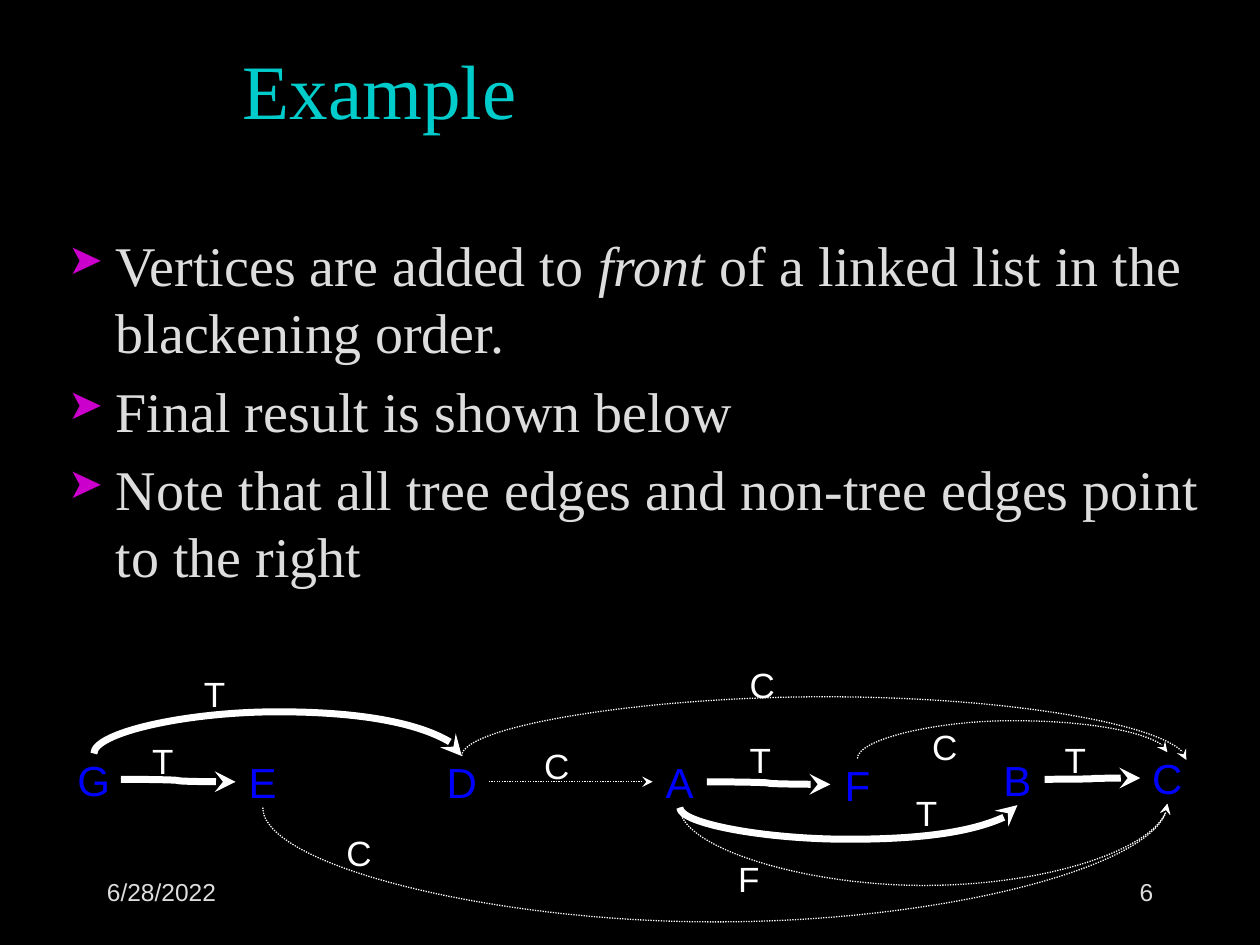
import dataclasses

import lxml.etree
import pptx
import pptx.dml.color
import pptx.enum.dml
import pptx.enum.shapes
import pptx.enum.text
import pptx.oxml.ns
import pptx.util

Inches = pptx.util.Inches
Pt = pptx.util.Pt
RGB = pptx.dml.color.RGBColor.from_string
qn = pptx.oxml.ns.qn
Align = pptx.enum.text.PP_ALIGN
Anchor = pptx.enum.text.MSO_ANCHOR


@dataclasses.dataclass(frozen=True)
class Theme:
    background: str = "000000"
    title: str = "00CCCC"
    body: str = "DDDDDD"
    bullet: str = "CC00CC"
    vertex: str = "0000FF"
    edge: str = "FFFFFF"
    serif: str = "Times New Roman"
    sans: str = "Arial"
    title_size: int = 44
    body_size: int = 32
    vertex_size: int = 24
    label_size: int = 20
    footer_size: int = 14
    tree_width: float = 4
    other_width: float = 0.75


theme = Theme()


def add_span(para, text, *, size, color, font=theme.sans, italic=False):
    span = para.add_run()
    span.text = text
    span.font.name = font
    span.font.size = Pt(size)
    span.font.italic = italic
    span.font.color.rgb = RGB(color)


def add_text(page, text, left, top, width, height, *, align=Align.LEFT,
             anchor=Anchor.TOP, **style):
    box = page.shapes.add_textbox(
        Inches(left), Inches(top), Inches(width), Inches(height))
    frame = box.text_frame
    frame.word_wrap = True
    frame.vertical_anchor = anchor
    para = frame.paragraphs[0]
    para.alignment = align
    add_span(para, text, **style)


deck = pptx.Presentation()
deck.slide_width = Inches(10)
deck.slide_height = Inches(7.5)
page = deck.slides.add_slide(deck.slide_layouts[6])
page.background.fill.solid()
page.background.fill.fore_color.rgb = RGB(theme.background)

add_text(page, "Example", 1.83, 0.08, 8.5, 1.25, anchor=Anchor.MIDDLE,
         font=theme.serif, size=theme.title_size, color=theme.title)

points = [
    [("Vertices are added to ", False), ("front", True),
     (" of a linked list in the blackening order.", False)],
    [("Final result is shown below", False)],
    [("Note that all tree edges and non-tree edges point to the right", False)],
]
body = page.shapes.add_textbox(Inches(0.44), Inches(1.78), Inches(9.25), Inches(4.38))
body.text_frame.word_wrap = True
for index, point in enumerate(points):
    para = body.text_frame.paragraphs[0] if index == 0 else body.text_frame.add_paragraph()
    properties = para._p.get_or_add_pPr()
    properties.set("marL", str(Inches(0.38)))
    properties.set("indent", str(-Inches(0.38)))
    bullet_color = lxml.etree.SubElement(properties, qn("a:buClr"))
    lxml.etree.SubElement(bullet_color, qn("a:srgbClr"), val=theme.bullet)
    lxml.etree.SubElement(properties, qn("a:buSzPct"), val="75000")
    lxml.etree.SubElement(properties, qn("a:buChar"), char="➤")
    if index:
        para.space_before = Pt(6.4)
    for text, italic in point:
        add_span(para, text, font=theme.serif, size=theme.body_size,
                 color=theme.body, italic=italic)

vertex_width, vertex_height = 0.43, 0.41
vertex_places = {
    "G": (0.53, 5.98), "E": (1.87, 6), "D": (3.45, 6), "A": (5.18, 6),
    "F": (6.59, 6.02), "B": (7.86, 5.98), "C": (9.05, 5.97),
}
vertices = {}
for name, (left, top) in vertex_places.items():
    vertex = page.shapes.add_shape(
        pptx.enum.shapes.MSO_SHAPE.OVAL, Inches(left), Inches(top),
        Inches(vertex_width), Inches(vertex_height))
    vertex.shadow.inherit = False
    vertex.fill.solid()
    vertex.fill.fore_color.rgb = RGB(theme.background)
    vertex.line.color.rgb = RGB(theme.background)
    vertex.line.width = Pt(theme.other_width)
    vertex.text_frame.word_wrap = False
    vertex.text_frame.vertical_anchor = Anchor.MIDDLE
    para = vertex.text_frame.paragraphs[0]
    para.alignment = Align.CENTER
    add_span(para, name, size=theme.vertex_size, color=theme.vertex)
    vertices[name] = vertex

TOP, LEFT, BOTTOM, RIGHT, TOP_RIGHT = 0, 2, 4, 6, 7
site_offsets = {TOP: (0.5, 0), LEFT: (0, 0.5), BOTTOM: (0.5, 1),
                RIGHT: (1, 0.5), TOP_RIGHT: (0.85, 0.15)}
edges = [
    ("G", RIGHT, "E", LEFT, None, "T", 1.11, 5.82),
    ("A", RIGHT, "F", LEFT, None, "T", 5.85, 5.81),
    ("B", RIGHT, "C", LEFT, None, "T", 8.35, 5.81),
    ("A", BOTTOM, "B", BOTTOM, 6.66, "T", 7.17, 6.23),
    ("E", BOTTOM, "C", BOTTOM, 7.32, "C", 2.65, 6.55),
    ("G", TOP, "D", TOP, 5.65, "T", 1.52, 5.29),
    ("D", RIGHT, "A", LEFT, None, "C", 4.22, 5.86),
    ("A", BOTTOM, "C", BOTTOM, 7.03, "F", 5.76, 6.76),
    ("D", TOP, "C", TOP_RIGHT, 5.53, "C", 5.85, 5.22),
    ("F", TOP, "C", TOP, 5.72, "C", 7.3, 5.71),
]
for start, start_site, end, end_site, bend, label, label_left, label_top in edges:
    (x1, y1), (x2, y2) = [
        (vertex_places[name][0] + vertex_width * site_offsets[site][0],
         vertex_places[name][1] + vertex_height * site_offsets[site][1])
        for name, site in ((start, start_site), (end, end_site))]
    edge = page.shapes.add_connector(
        pptx.enum.shapes.MSO_CONNECTOR.CURVE,
        Inches(x1), Inches(y1), Inches(x2), Inches(y2))
    element = edge._element
    joints = element.find(".//" + qn("p:cNvCxnSpPr"))
    for tag, name, site in (("a:stCxn", start, start_site), ("a:endCxn", end, end_site)):
        lxml.etree.SubElement(joints, qn(tag), id=str(vertices[name].shape_id), idx=str(site))
    if bend is not None:
        across, rise = x2 - x1, abs(y2 - y1)
        edge.left = Inches((x1 + x2 - rise) / 2)
        edge.top = Inches((y1 + y2 - across) / 2)
        edge.width, edge.height = Inches(rise), Inches(across)
        frame = element.spPr.find(qn("a:xfrm"))
        frame.set("rot", "5400000")
        frame.set("flipV", "1")
        frame.set("flipH", "1" if y1 > y2 else "0")
        guides = element.spPr.find(qn("a:prstGeom")).get_or_add_avLst()
        ratio = round(100000 * (bend - y1) / (y2 - y1))
        lxml.etree.SubElement(guides, qn("a:gd"), name="adj1", fmla=f"val {ratio}")
    edge.line.color.rgb = RGB(theme.edge)
    if label == "T":
        edge.line.width = Pt(theme.tree_width)
    else:
        edge.line.width = Pt(theme.other_width)
        edge.line.dash_style = pptx.enum.dml.MSO_LINE.ROUND_DOT
    lxml.etree.SubElement(edge.line._get_or_add_ln(), qn("a:tailEnd"), type="stealth")
    lxml.etree.SubElement(element.spPr, qn("a:effectLst"))
    add_text(page, label, label_left, label_top, 0.48, 0.43,
             size=theme.label_size, color=theme.edge)

for text, left, align in (("6/28/2022", 0.75, Align.LEFT), ("6", 7.17, Align.RIGHT)):
    add_text(page, text, left, 6.83, 2.08, 0.5, align=align, anchor=Anchor.MIDDLE,
             size=theme.footer_size, color=theme.body)

deck.save("out.pptx")
